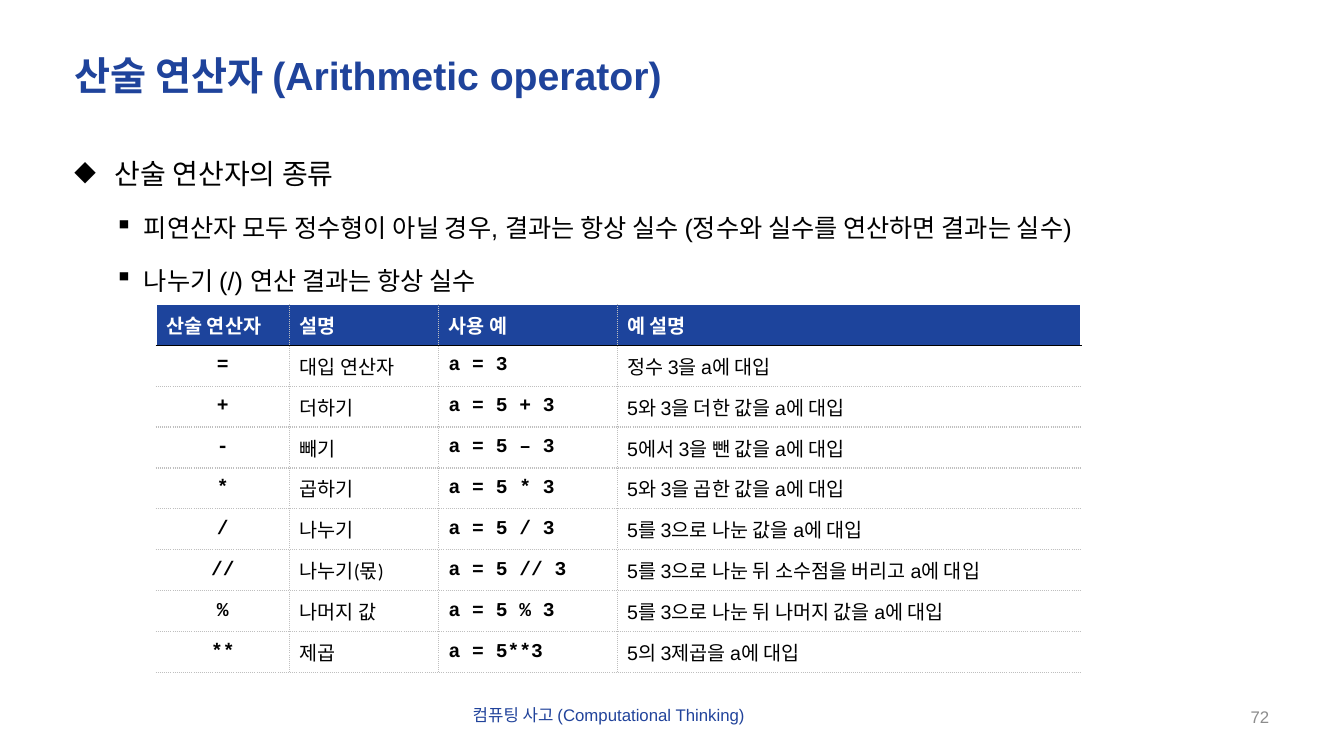
import pptx
import pptx.util
import pptx.dml.color
import pptx.enum.text
import pptx.oxml
import pptx.oxml.ns

Pt = pptx.util.Pt
Inches = pptx.util.Inches
RGBColor = pptx.dml.color.RGBColor
ALIGN = pptx.enum.text.PP_ALIGN
ANCHOR = pptx.enum.text.MSO_ANCHOR

WIDTH, HEIGHT = Inches(13.33), Inches(7.5)
BLACK = RGBColor(0x00, 0x00, 0x00)
WHITE = RGBColor(0xFF, 0xFF, 0xFF)
GRAY = RGBColor(0x8C, 0x8C, 0x8C)
DOTTED = RGBColor(0xBF, 0xBF, 0xBF)
TITLE_BLUE = RGBColor(0x1F, 0x43, 0x9B)
FOOTER_BLUE = RGBColor(0x21, 0x43, 0x9B)
HEADER_BLUE = RGBColor(0x1D, 0x44, 0x9C)

BULLETS = [
    (0, "산술 연산자의 종류"),
    (1, "피연산자 모두 정수형이 아닐 경우, 결과는 항상 실수 (정수와 실수를 연산하면 결과는 실수)"),
    (1, "나누기 (/) 연산 결과는 항상 실수"),
]
LEVELS = [("◆", 0.4, 0.4, 20), ("▪", 0.69, 0.29, 18)]

COLUMN_WEIGHTS = [132, 148, 177, 460]
COLUMN_STYLES = [
    ("Courier New", True, ALIGN.CENTER),
    ("Calibri", False, ALIGN.LEFT),
    ("Courier New", True, ALIGN.LEFT),
    ("Arial", False, ALIGN.LEFT),
]
OPERATORS = [
    ("산술 연산자", "설명", "사용 예", "예 설명"),
    ("=", "대입 연산자", "a = 3", "정수 3을 a에 대입"),
    ("+", "더하기", "a = 5 + 3", "5와 3을 더한 값을 a에 대입"),
    ("-", "빼기", "a = 5 – 3", "5에서 3을 뺀 값을 a에 대입"),
    ("*", "곱하기", "a = 5 * 3", "5와 3을 곱한 값을 a에 대입"),
    ("/", "나누기", "a = 5 / 3", "5를 3으로 나눈 값을 a에 대입"),
    ("//", "나누기(몫)", "a = 5 // 3", "5를 3으로 나눈 뒤 소수점을 버리고 a에 대입"),
    ("%", "나머지 값", "a = 5 % 3", "5를 3으로 나눈 뒤 나머지 값을 a에 대입"),
    ("**", "제곱", "a = 5**3", "5의 3제곱을 a에 대입"),
]


def percent_box(x, y, w, h):
    return [int(share * side / 100)
            for share, side in zip((x, y, w, h), (WIDTH, HEIGHT) * 2)]


def add_text_frame(slide, box, anchor=ANCHOR.TOP, wrap=True):
    tf = slide.shapes.add_textbox(*box).text_frame
    tf.word_wrap = wrap
    tf.vertical_anchor = anchor
    return tf


def add_run(p, text, size, color, font="Arial", bold=False):
    r = p.add_run()
    r.text = text
    r.font.size = Pt(size)
    r.font.name = font
    r.font.bold = bold
    r.font.color.rgb = color


def add_title(slide, box):
    p = add_text_frame(slide, box, ANCHOR.MIDDLE).paragraphs[0]
    p.line_spacing = 0.9
    add_run(p, "산술 연산자 (Arithmetic operator)", 28, TITLE_BLUE, bold=True)


def set_bullet(p, char, margin, hanging):
    pPr = p._p.get_or_add_pPr()
    pPr.set("marL", str(Inches(margin)))
    pPr.set("indent", str(-Inches(hanging)))
    bullet = pptx.oxml.parse_xml(
        f'<a:buChar {pptx.oxml.ns.nsdecls("a")} char="{char}"/>')
    pPr.append(bullet)


def add_bullets(slide, box):
    tf = add_text_frame(slide, box)
    for i, (level, text) in enumerate(BULLETS):
        char, margin, hanging, size = LEVELS[level]
        p = tf.add_paragraph() if i else tf.paragraphs[0]
        p.level = level
        set_bullet(p, char, margin, hanging)
        p.line_spacing = 1.5
        if i:
            p.space_before = Pt(5)
        add_run(p, text, size, BLACK)


def set_border(cell, side, color, dash):
    line = pptx.oxml.parse_xml(
        f'<a:ln{side} {pptx.oxml.ns.nsdecls("a")} w="{Pt(1)}">'
        f'<a:solidFill><a:srgbClr val="{color}"/></a:solidFill>'
        f'<a:prstDash val="{dash}"/></a:ln{side}>')
    cell._tc.get_or_add_tcPr().append(line)


def set_borders(cell, row, col):
    inner = (DOTTED, "sysDot")
    outer = (WHITE, "solid")
    rule = (BLACK, "solid")
    last = len(COLUMN_WEIGHTS) - 1
    set_border(cell, "L", *(inner if col else outer))
    set_border(cell, "R", *(outer if col == last else inner))
    set_border(cell, "T", *{0: outer, 1: rule}.get(row, inner))
    set_border(cell, "B", *(inner if row else rule))


def add_operator_table(slide, box):
    width, height = box[2:]
    table = slide.shapes.add_table(len(OPERATORS), len(COLUMN_WEIGHTS), *box).table
    table.horz_banding = False
    for column, weight in zip(table.columns, COLUMN_WEIGHTS):
        column.width = int(width * weight / sum(COLUMN_WEIGHTS))
    for row in table.rows:
        row.height = height // len(OPERATORS)
    for i, texts in enumerate(OPERATORS):
        for j, text in enumerate(texts):
            font, bold, align = COLUMN_STYLES[j] if i else ("Calibri", True, ALIGN.LEFT)
            cell = table.cell(i, j)
            set_borders(cell, i, j)
            cell.fill.solid()
            cell.fill.fore_color.rgb = WHITE if i else HEADER_BLUE
            cell.vertical_anchor = ANCHOR.MIDDLE
            p = cell.text_frame.paragraphs[0]
            p.alignment = align
            add_run(p, text, 14, BLACK if i else WHITE, font, bold)


def add_footer(slide, box):
    tf = add_text_frame(slide, box, wrap=False)
    tf.auto_size = pptx.enum.text.MSO_AUTO_SIZE.SHAPE_TO_FIT_TEXT
    add_run(tf.paragraphs[0], "컴퓨팅 사고 (Computational Thinking)", 12, FOOTER_BLUE)


def add_page_number(slide, box):
    p = add_text_frame(slide, box, ANCHOR.MIDDLE).paragraphs[0]
    p.alignment = ALIGN.RIGHT
    add_run(p, "72", 12, GRAY)


def main():
    prs = pptx.Presentation()
    prs.slide_width, prs.slide_height = WIDTH, HEIGHT
    s = prs.slides.add_slide(prs.slide_layouts[6])
    add_page_number(s, percent_box(72.68, 93.07, 22.5, 3.47))
    add_footer(s, percent_box(34.43, 92.53, 24.53, 4))
    add_bullets(s, percent_box(4.8, 17.87, 90.4, 72.53))
    add_title(s, percent_box(4.8, 6.8, 90.4, 7.07))
    add_operator_table(s, percent_box(11.63, 40.27, 68.8, 48.67))
    prs.save("out.pptx")


if __name__ == "__main__":
    main()
